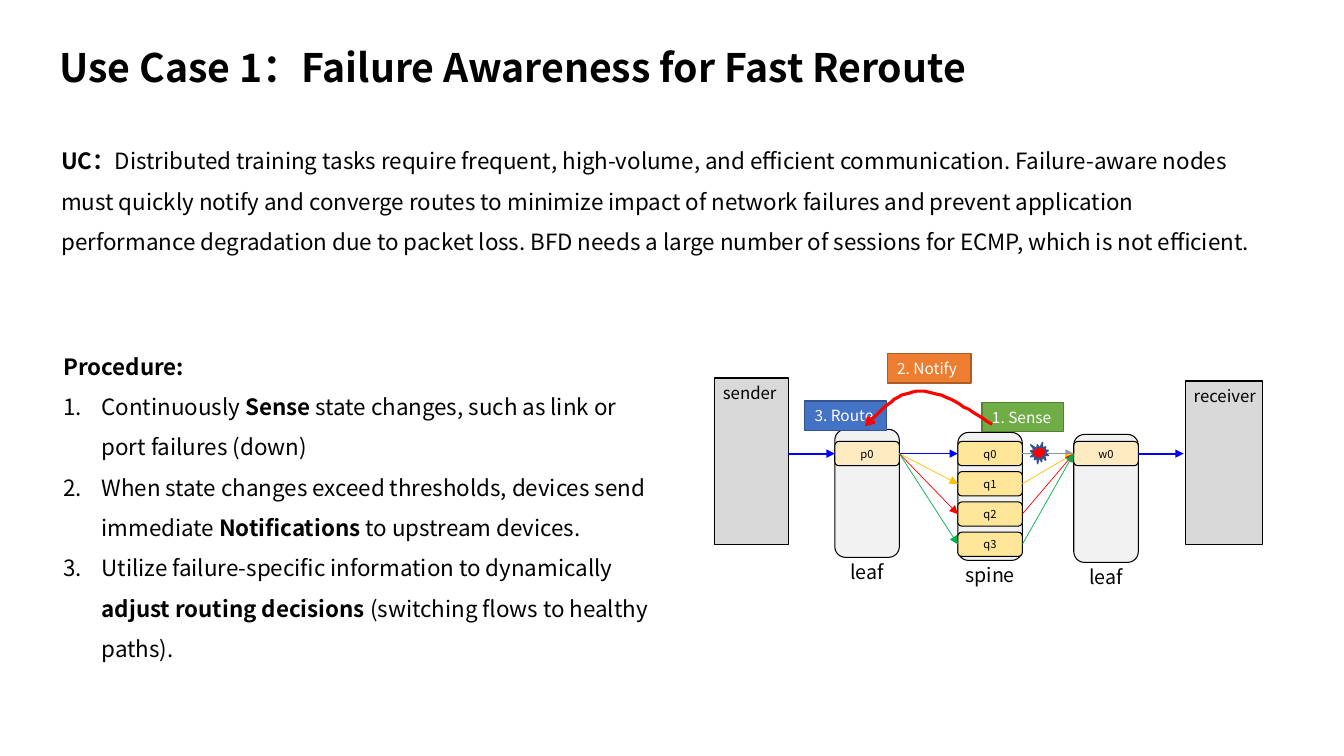
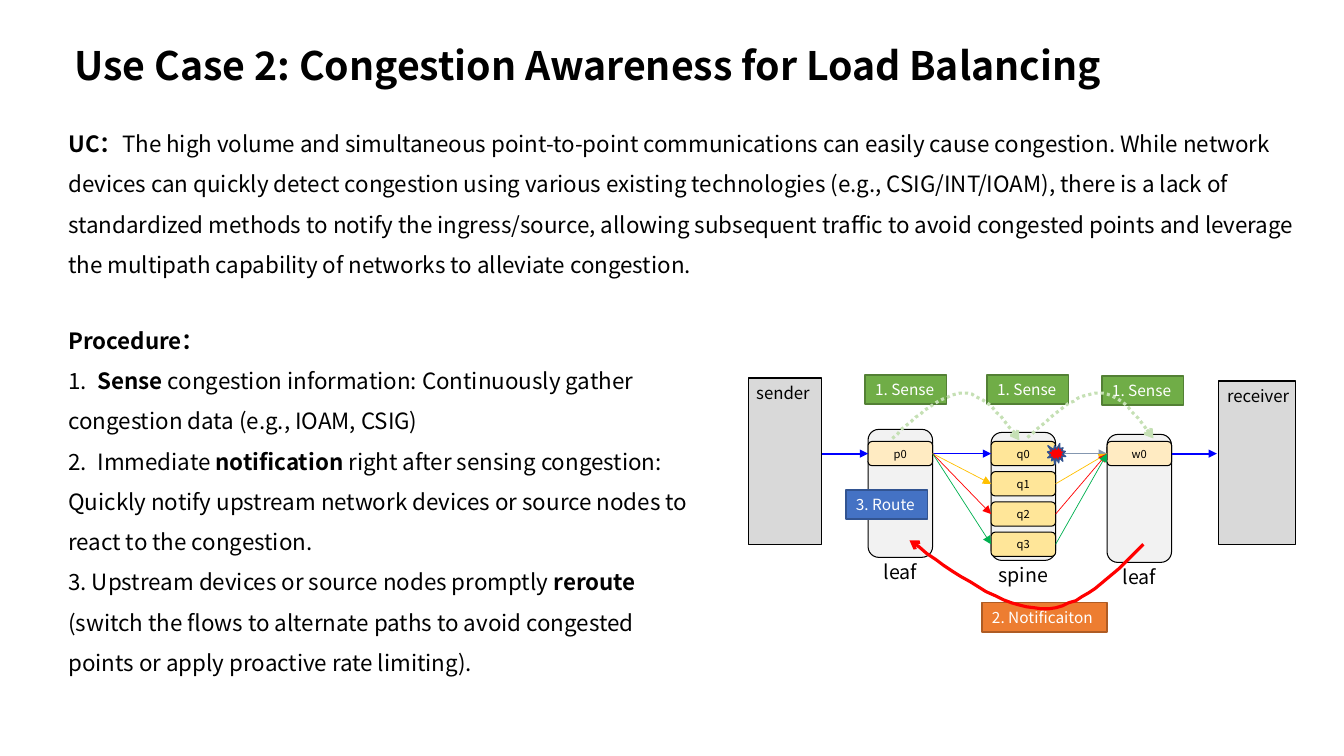
"""Build two slides on sensing failure and congestion in a leaf and spine network."""
from dataclasses import dataclass

from lxml import etree
from pptx import Presentation
from pptx import util as u
from pptx.dml.color import RGBColor
from pptx.enum import dml, shapes, text
from pptx.oxml.ns import qn

PX = 9144
FONT = "Noto Sans CJK SC"
BLACK = RGBColor(0x00, 0x00, 0x00)
WHITE = RGBColor(0xFF, 0xFF, 0xFF)
BLUE = RGBColor(0x00, 0x00, 0xFF)
RED = RGBColor(0xFF, 0x00, 0x00)
GOLD = RGBColor(0xFF, 0xC0, 0x00)
GREEN = RGBColor(0x00, 0xB0, 0x50)
SLATE = RGBColor(0x84, 0x97, 0xB0)
MINT = RGBColor(0xC5, 0xE0, 0xB4)
SILVER = RGBColor(0xD9, 0xD9, 0xD9)
PALE = RGBColor(0xF2, 0xF2, 0xF2)
CREAM = RGBColor(0xFF, 0xEB, 0xC2)
SAND = RGBColor(0xFF, 0xE6, 0x99)
NAVY = RGBColor(0x32, 0x54, 0x91)

KIND = shapes.MSO_SHAPE
LEFT, MID = text.PP_ALIGN.LEFT, text.PP_ALIGN.CENTER
TOP, CENTER = text.MSO_ANCHOR.TOP, text.MSO_ANCHOR.MIDDLE
SENSE = (RGBColor(0x70, 0xAD, 0x47), RGBColor(0x53, 0x80, 0x35))
ROUTE = (RGBColor(0x44, 0x72, 0xC4), NAVY)
NOTE = (RGBColor(0xED, 0x7D, 0x31), RGBColor(0xAF, 0x5C, 0x24))

PORT_W, PORT_H, PORT_Y, PITCH = 64, 24, 438, 30
WIRE_Y = PORT_Y + PORT_H // 2


@dataclass(frozen=True)
class Box:
    """A frame in px."""
    x: int
    y: int
    w: int
    h: int

    def emu(self) -> tuple:
        """Give the frame in EMU."""
        return tuple(u.Emu(n * PX) for n in (self.x, self.y, self.w, self.h))


@dataclass(frozen=True)
class Para:
    """A paragraph whose bold pieces stand between asterisks."""
    words: str
    listed: bool = False
    tab: int = 0


@dataclass(frozen=True)
class Tag:
    """A coloured step label."""
    words: str
    box: Box
    tint: tuple


@dataclass(frozen=True)
class Curve:
    """A chain of cubic curves with an arrowhead."""
    points: tuple
    color: RGBColor
    dotted: bool = False


@dataclass(frozen=True)
class Page:
    """The content of one slide."""
    title: str
    head: Box
    blocks: tuple
    shift: int
    tags: tuple
    curves: tuple
    burst: Box


PAGES = (
    Page(
        "Use Case 1：Failure Awareness for Fast Reroute",
        Box(49, 38, 996, 57),
        (
            (Box(51, 128, 1210, 127), (
                Para("*UC：*Distributed training tasks require frequent, high-volume, and efficient "
                     "communication. Failure-aware nodes must quickly notify and converge routes to "
                     "minimize impact of network failures and prevent application performance "
                     "degradation due to packet loss. BFD needs a large number of sessions for ECMP, "
                     "which is not efficient."),)),
            (Box(53, 332, 616, 289), (
                Para("*Procedure:*"),
                Para("Continuously *Sense* state changes, such as link or port failures (down)", True),
                Para("When state changes exceed thresholds, devices send immediate *Notifications* "
                     "to upstream devices.", True),
                Para("Utilize failure-specific information to dynamically *adjust routing decisions "
                     "*(switching flows to healthy paths).", True))),
        ),
        0,
        (
            Tag("1. Sense", Box(974, 399, 81, 29), SENSE),
            Tag("3. Route", Box(798, 398, 81, 29), ROUTE),
            Tag("2. Notify", Box(880, 351, 83, 29), NOTE),
        ),
        (Curve(((984, 421), (959, 405), (934, 388), (913, 388),
                (892, 388), (875, 405), (858, 423)), RED),),
        Box(1022, 439, 18, 21),
    ),
    Page(
        "Use Case 2: Congestion Awareness for Load Balancing",
        Box(64, 36, 1080, 57),
        (
            (Box(58, 111, 1249, 167), (
                Para("*UC：*The high volume and simultaneous point-to-point communications can easily "
                     "cause congestion. While network devices can quickly detect congestion using "
                     "various existing technologies (e.g., CSIG/INT/IOAM), there is a lack of "
                     "standardized methods to notify the ingress/source, allowing subsequent traffic "
                     "to avoid congested points and leverage the multipath capability of networks to "
                     "alleviate congestion."),)),
            (Box(58, 306, 635, 369), (
                Para("*Procedure：*"),
                Para("1.\t*Sense* congestion information: Continuously gather congestion data "
                     "(e.g., IOAM, CSIG)", tab=29),
                Para("2.\tImmediate *notification* right after sensing congestion: Quickly notify "
                     "upstream network devices or source nodes to react to the congestion.", tab=29),
                Para("3. Upstream devices or source nodes promptly *reroute *(switch the flows to "
                     "alternate paths to avoid congested points or apply proactive rate limiting)."))),
        ),
        33,
        (
            Tag("1. Sense", Box(858, 372, 81, 29), SENSE),
            Tag("3. Route", Box(839, 486, 81, 29), ROUTE),
            Tag("1. Sense", Box(979, 372, 81, 29), SENSE),
            Tag("1. Sense", Box(1093, 373, 81, 29), SENSE),
            Tag("2. Notificaiton", Box(974, 598, 124, 29), NOTE),
        ),
        (
            Curve(((885, 435), (910, 412), (935, 390), (956, 390),
                   (977, 391), (994, 414), (1011, 437)), MINT, True),
            Curve(((1019, 434), (1044, 412), (1069, 389), (1090, 390),
                   (1111, 390), (1128, 413), (1144, 435)), MINT, True),
            Curve(((1134, 540), (1103, 572), (1071, 604), (1033, 604),
                   (994, 603), (948, 570), (902, 536)), RED),
        ),
        Box(1039, 440, 18, 21),
    ),
)


def style(para, size: int, color: RGBColor, align=LEFT) -> None:
    """Set the font and alignment of a paragraph."""
    para.alignment = align
    font = para.font
    font.size = u.Pt(size)
    font.color.rgb = color
    font.name = FONT
    base = para._p.pPr.find(qn("a:defRPr"))
    etree.SubElement(base, qn("a:ea"), typeface=FONT)


def setup(frame, anchor=TOP, pads: tuple = (10, 5, 10, 5)) -> None:
    """Set wrapping, anchor and insets (left, top, right, bottom)."""
    frame.word_wrap = True
    frame.auto_size = text.MSO_AUTO_SIZE.NONE
    frame.vertical_anchor = anchor
    (frame.margin_left, frame.margin_top,
     frame.margin_right, frame.margin_bottom) = (u.Emu(n * PX) for n in pads)


def label(frame, words: str, size: int, color: RGBColor, align=LEFT) -> None:
    """Write one line of text."""
    para = frame.paragraphs[0]
    para.text = words
    style(para, size, color, align)


def prose(slide, box: Box, paras: tuple) -> None:
    """Draw a block of body text."""
    frame = slide.shapes.add_textbox(*box.emu()).text_frame
    setup(frame)
    for i, item in enumerate(paras):
        para = frame.add_paragraph() if i else frame.paragraphs[0]
        para.line_spacing = 1.5
        props = para._p.get_or_add_pPr()
        if item.listed:
            props.set("marL", str(38 * PX))
            props.set("indent", str(-38 * PX))
            etree.SubElement(props, qn("a:buAutoNum"), type="arabicPeriod")
        if item.tab:
            tabs = etree.SubElement(props, qn("a:tabLst"))
            etree.SubElement(tabs, qn("a:tab"), pos=str(item.tab * PX), algn="l")
        style(para, 16, BLACK)
        for k, piece in enumerate(item.words.split("*")):
            if piece:
                run = para.add_run()
                run.text = piece
                run.font.bold = k % 2 == 1


def block(slide, kind, box: Box, fill: RGBColor, edge: RGBColor = BLACK, width: float = 0.75):
    """Draw a filled and outlined shape."""
    shape = slide.shapes.add_shape(kind, *box.emu())
    shape.shadow.inherit = False
    shape.fill.solid()
    shape.fill.fore_color.rgb = fill
    shape.line.color.rgb = edge
    shape.line.width = u.Pt(width)
    return shape


def stroke(line, color: RGBColor, width: float, head: str, dotted: bool = False) -> None:
    """Set a line's colour, width, dash and arrowhead."""
    line.color.rgb = color
    line.width = u.Pt(width)
    if dotted:
        line.dash_style = dml.MSO_LINE.ROUND_DOT
    etree.SubElement(line._get_or_add_ln(), qn("a:tailEnd"), type=head)


def link(slide, color: RGBColor, width: float, x1: int, x2: int, start=None, end=None) -> None:
    """Draw an arrow, joined to the right of start and the left of end if given."""
    ends = (u.Emu(n * PX) for n in (x1, WIRE_Y, x2, WIRE_Y))
    wire = slide.shapes.add_connector(shapes.MSO_CONNECTOR.STRAIGHT, *ends)
    if start is not None:
        wire.begin_connect(start, 3)
    if end is not None:
        wire.end_connect(end, 1)
    stroke(wire.line, color, width, "triangle")
    etree.SubElement(wire._element.spPr, qn("a:effectLst"))


def bend(slide, curve: Curve) -> None:
    """Draw a chain of cubic curves as a fine open outline."""
    pts, steps = curve.points, 16
    trace = [pts[0]]
    for i in range(0, len(pts) - 1, 3):
        for k in range(1, steps + 1):
            t = k / steps
            mix = ((1 - t) ** 3, 3 * t * (1 - t) ** 2, 3 * t * t * (1 - t), t ** 3)
            trace.append(tuple(sum(f * p[n] for f, p in zip(mix, pts[i:i + 4])) for n in (0, 1)))
    pen = slide.shapes.build_freeform(*trace[0], scale=PX)
    pen.add_line_segments(trace[1:], close=False)
    shape = pen.convert_to_shape()
    shape.shadow.inherit = False
    shape.fill.background()
    stroke(shape.line, curve.color, 2.25, "arrow", curve.dotted)


def host(slide, words: str, box: Box) -> None:
    """Draw an end host."""
    frame = block(slide, KIND.RECTANGLE, box, SILVER).text_frame
    setup(frame, TOP, (8, 5, 0, 5))
    label(frame, words, 12, BLACK)


def switch(slide, words: str, x: int, y: int, names: tuple, fill: RGBColor) -> list:
    """Draw a switch with its name below and return its ports."""
    block(slide, KIND.ROUNDED_RECTANGLE, Box(x, y, PORT_W, 127), PALE)
    ports = []
    for i, name in enumerate(names):
        box = Box(x, PORT_Y + i * PITCH, PORT_W, PORT_H)
        port = block(slide, KIND.ROUNDED_RECTANGLE, box, fill)
        setup(port.text_frame, CENTER)
        label(port.text_frame, name, 8, BLACK, MID)
        ports.append(port)
    frame = slide.shapes.add_textbox(*Box(x - 7, y + 125, PORT_W + 14, 34).emu()).text_frame
    setup(frame)
    label(frame, words, 14, BLACK, MID)
    return ports


def network(slide, dx: int) -> None:
    """Draw the hosts, the switches and the paths between them."""
    host(slide, "sender", Box(709 + dx, 375, 73, 165))
    host(slide, "receiver", Box(1176 + dx, 378, 76, 162))
    near, = switch(slide, "leaf", 828 + dx, 426, ("p0",), CREAM)
    spine = switch(slide, "spine", 950 + dx, 429, ("q0", "q1", "q2", "q3"), SAND)
    far, = switch(slide, "leaf", 1065 + dx, 431, ("w0",), CREAM)
    link(slide, BLUE, 1.5, 782 + dx, 828 + dx, end=near)
    link(slide, BLUE, 1.5, 1129 + dx, 1174 + dx, start=far)
    for port, into, out in zip(spine, (BLUE, GOLD, RED, GREEN), (SLATE, GOLD, RED, GREEN)):
        link(slide, into, 0.5, 892 + dx, 950 + dx, near, port)
        link(slide, out, 0.5, 1014 + dx, 1065 + dx, port, far)


def draw(deck, page: Page) -> None:
    """Add one slide."""
    slide = deck.slides.add_slide(deck.slide_layouts[5])
    title = slide.shapes.title
    title.left, title.top, title.width, title.height = page.head.emu()
    setup(title.text_frame)
    label(title.text_frame, page.title, 28, BLACK)
    title.text_frame.paragraphs[0].font.bold = True
    for box, paras in page.blocks:
        prose(slide, box, paras)
    network(slide, page.shift)
    for tag in page.tags:
        frame = block(slide, KIND.RECTANGLE, tag.box, *tag.tint, 1).text_frame
        setup(frame, CENTER, (10, 5, 0, 5))
        label(frame, tag.words, 11, WHITE)
    for curve in page.curves:
        bend(slide, curve)
    block(slide, KIND.EXPLOSION1, page.burst, RED, NAVY, 1)


def main() -> None:
    """Build and save the deck."""
    deck = Presentation()
    deck.slide_width, deck.slide_height = u.Emu(1333 * PX), u.Emu(750 * PX)
    for page in PAGES:
        draw(deck, page)
    deck.save("out.pptx")


if __name__ == "__main__":
    main()
